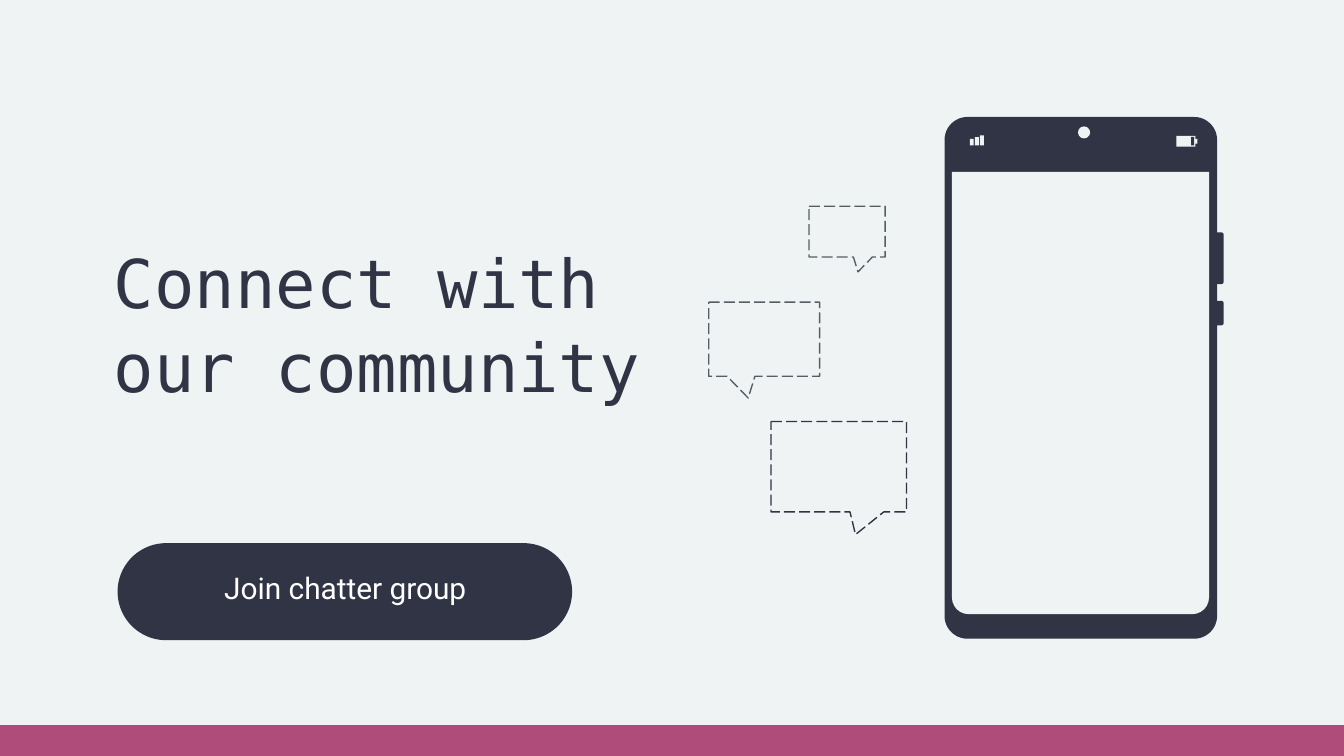
from lxml import etree
from pptx import Presentation
from pptx.dml import color
from pptx.enum import dml, shapes, text
from pptx.util import Pt

NAVY, PALE, GREY, PINK, WHITE = "313445", "F0F3F4", "545E66", "B04C7A", "FFFFFF"
Kind = shapes.MSO_SHAPE


def rgb(value):
    return color.RGBColor.from_string(value)


def add_shape(kind, box, fill=None, adjustments=()):
    shape = slide.shapes.add_shape(kind, *[Pt(length) for length in box])
    shape.shadow.inherit = False
    shape.line.fill.background()
    if fill:
        shape.fill.solid()
        shape.fill.fore_color.rgb = rgb(fill)
    else:
        shape.fill.background()
    for index, value in enumerate(adjustments):
        shape.adjustments[index] = value
    return shape


def add_text(words, box, font, size, ink, spacing, align, anchor):
    label = slide.shapes.add_textbox(*[Pt(length) for length in box])
    frame = label.text_frame
    frame.word_wrap = True
    frame.vertical_anchor = anchor
    frame.margin_left = frame.margin_right = Pt(7.2)
    frame.margin_top = frame.margin_bottom = Pt(7.2)
    frame.text = words
    paragraph = frame.paragraphs[0]
    paragraph.alignment = align
    paragraph.line_spacing = spacing
    run = paragraph.runs[0]
    run.font.name = font
    run.font.size = Pt(size)
    run.font.color.rgb = rgb(ink)


deck = Presentation()
deck.slide_width, deck.slide_height = Pt(720), Pt(405)
slide = deck.slides.add_slide(deck.slide_layouts[6])
slide.background.fill.solid()
slide.background.fill.fore_color.rgb = rgb(PALE)

add_shape(Kind.RECTANGLE, (0, 388.5, 720, 16.5), PINK)

for top, height in ((124.5, 27.7), (161.2, 13.1)):
    add_shape(Kind.ROUNDED_RECTANGLE, (648, top, 7.5, height), NAVY, [0.15])
add_shape(Kind.ROUNDED_RECTANGLE, (506, 62.7, 146, 279.5), NAVY, [0.084])
screen = (510, 92, 137.7, 237)
add_shape(Kind.ROUND_2_SAME_RECTANGLE, screen, PALE, [0, 0.065])
add_shape(Kind.OVAL, (577.5, 67.7, 6.5, 6.5), PALE)

for bar in range(3):
    height = 3.4 + bar
    add_shape(Kind.RECTANGLE, (519.6 + 2.7 * bar, 77.9 - height, 2.1, height), PALE)

add_shape(Kind.RECTANGLE, (630.2, 72.8, 10.2, 5.8), PALE)
add_shape(Kind.RECTANGLE, (638.2, 73.4, 1.6, 4.6), NAVY)
add_shape(Kind.RECTANGLE, (640.2, 74.4, 1.3, 2.6), PALE)

add_shape(Kind.ROUNDED_RECTANGLE, (63, 291, 243.5, 52), NAVY, [0.5])
add_text("Join chatter group", (75, 292.3, 220, 49), "Roboto", 16, WHITE, 0.8,
         text.PP_ALIGN.CENTER, text.MSO_ANCHOR.MIDDLE)
add_text("Connect with our community", (54, 120.4, 299, 106), "DejaVu Sans Mono", 36,
         NAVY, 1.04, text.PP_ALIGN.LEFT, text.MSO_ANCHOR.TOP)

bubbles = (
    ((413, 225.8, 72.6, 48.4), (0.124, 0.752, 0), NAVY),
    ((379.7, 161.9, 59.4, 39.7), (-0.144, 0.793, 0), GREY),
    ((433.4, 110.5, 40.8, 27.2), (0.144, 0.793, 0), GREY),
)
for box, tail, ink in bubbles:
    bubble = add_shape(Kind.ROUNDED_RECTANGULAR_CALLOUT, box, adjustments=tail)
    bubble.line.color.rgb = rgb(ink)
    bubble.line.width = Pt(0.75)
    bubble.line.dash_style = dml.MSO_LINE.LONG_DASH

deck.save("out.pptx")
